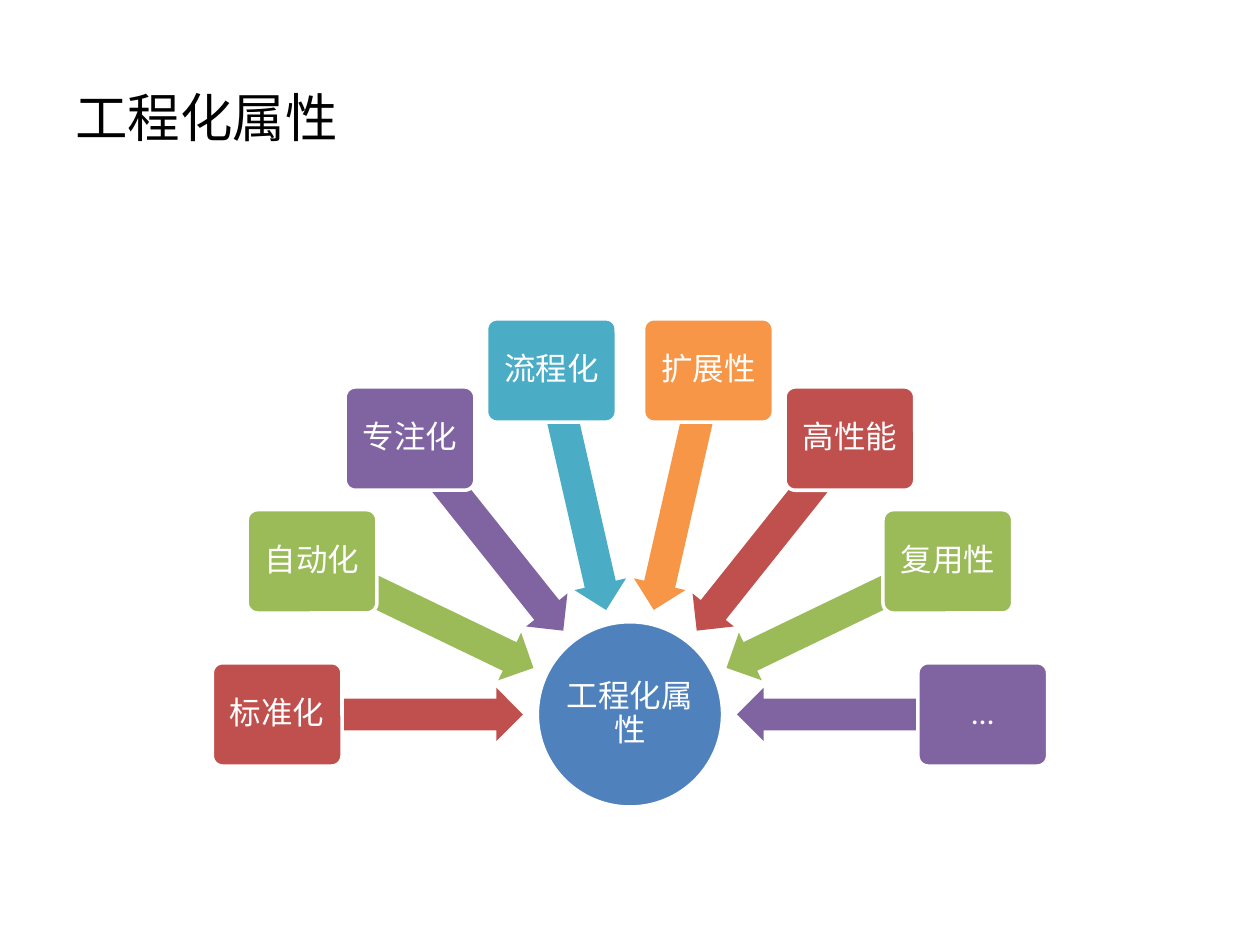
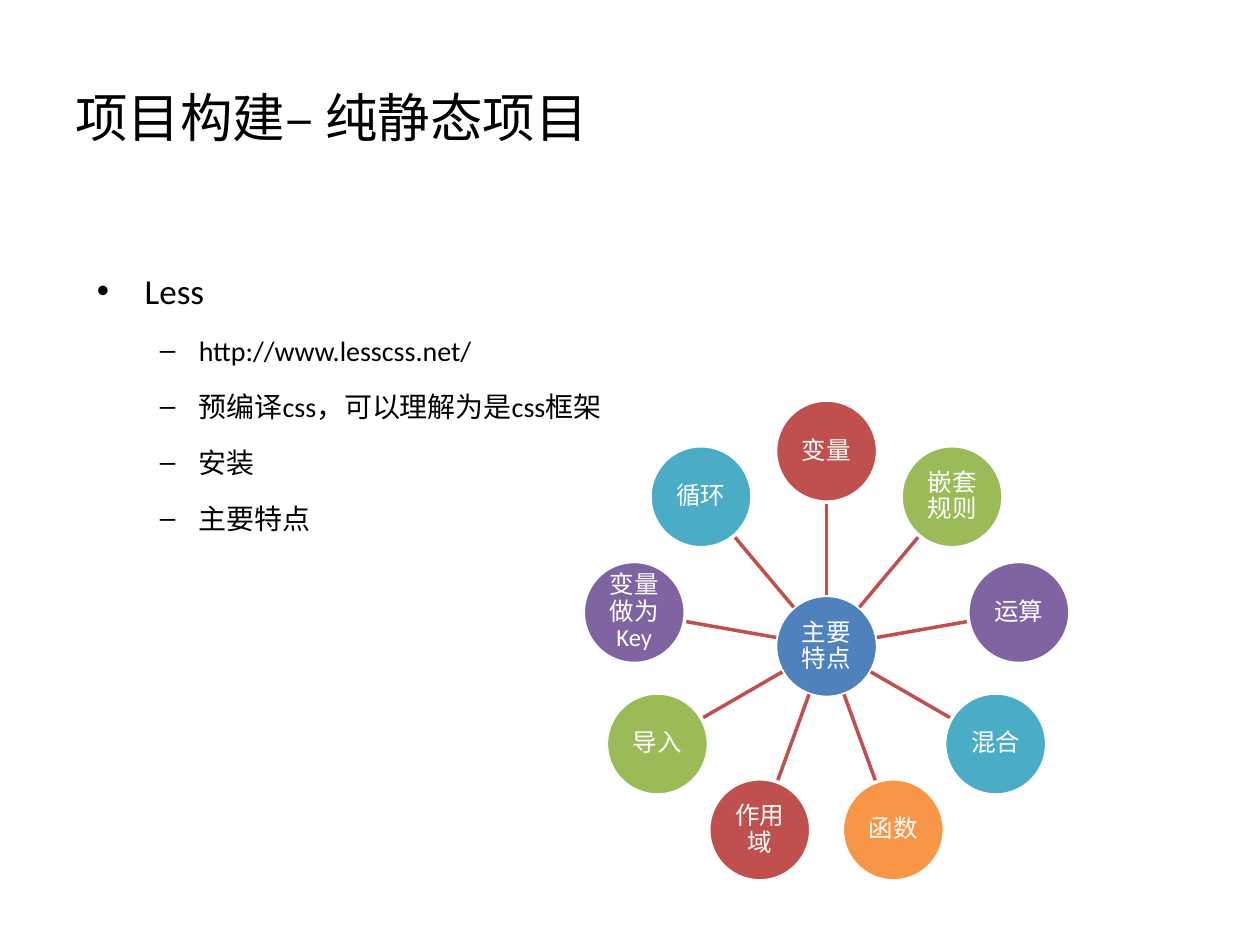
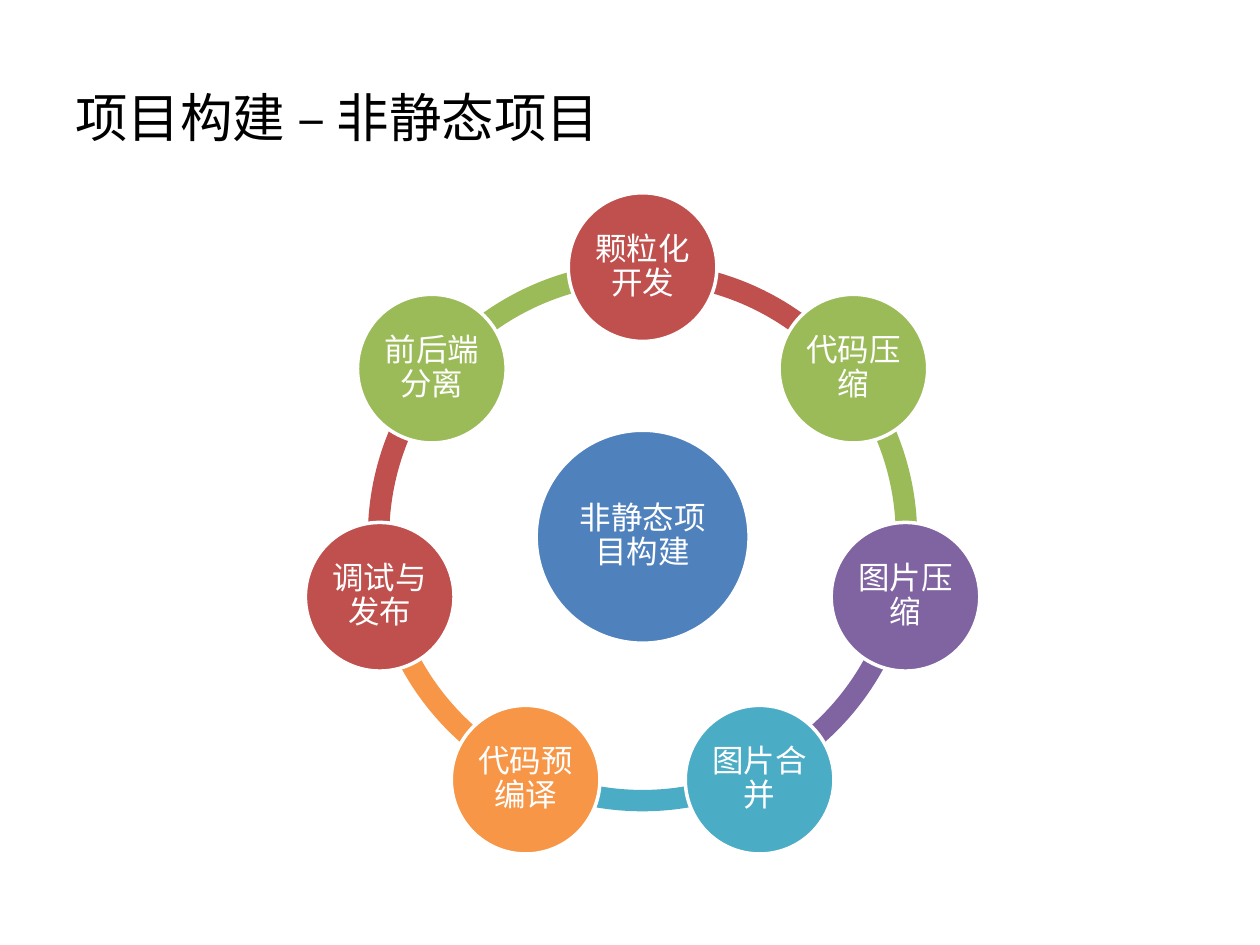
import math
from lxml import etree
from pptx import Presentation
from pptx.dml.color import RGBColor
from pptx.enum import shapes, text
from pptx.oxml.ns import qn
from pptx.util import Inches, Pt

FONT = "Calibri"
BLACK, WHITE, BLUE = "000000", "FFFFFF", "4F81BD"
ACCENTS = ["C0504D", "9BBB59", "8064A2", "4BACC6", "F79646"]
TITLE_BOX = (0.5, 0.3, 9, 1.25)


def color(value):
    return RGBColor.from_string(value)


def accent(index):
    return ACCENTS[index % len(ACCENTS)]


def polar(center, radius, degrees):
    angle = math.radians(degrees)
    return center[0] + radius * math.cos(angle), center[1] + radius * math.sin(angle)


def style_font(paragraph, size, value):
    font = paragraph.font
    font.name, font.size = FONT, Pt(size)
    font.color.rgb = color(value)


def add_preset(slide, kind, center, size, fill, adjustments=()):
    left, top = center[0] - size[0] / 2, center[1] - size[1] / 2
    shape = slide.shapes.add_shape(kind, *map(Inches, (left, top, *size)))
    shape.shadow.inherit = False
    shape.fill.solid()
    shape.fill.fore_color.rgb = color(fill)
    shape.line.fill.background()
    for index, value in enumerate(adjustments):
        shape.adjustments[index] = value
    return shape


def add_node(slide, kind, center, size, fill, label, font_size, inset, adjustments=()):
    shape = add_preset(slide, kind, center, size, fill, adjustments)
    shape.line.color.rgb = color(WHITE)
    shape.line.width = Pt(2)
    frame = shape.text_frame
    frame.word_wrap = True
    frame.vertical_anchor = text.MSO_ANCHOR.MIDDLE
    frame.margin_left = frame.margin_right = Inches(inset)
    frame.margin_top = frame.margin_bottom = Inches(inset)
    paragraph = frame.paragraphs[0]
    paragraph.text = label
    paragraph.alignment = text.PP_ALIGN.CENTER
    paragraph.line_spacing = 0.9
    style_font(paragraph, font_size, WHITE)


def add_circle(slide, center, diameter, fill, label, font_size, inset):
    add_node(slide, shapes.MSO_SHAPE.OVAL, center, (diameter, diameter),
             fill, label, font_size, inset)


def add_spoke(slide, start, end):
    line = slide.shapes.add_connector(
        shapes.MSO_CONNECTOR.STRAIGHT, *map(Inches, (*start, *end)))
    line.line.color.rgb = color(ACCENTS[0])
    line.line.width = Pt(2)
    etree.SubElement(line._element.spPr, qn("a:effectLst"))


def add_text_box(slide, box):
    frame = slide.shapes.add_textbox(*map(Inches, box)).text_frame
    frame.word_wrap = True
    return frame


def add_titled_slide(presentation, title):
    slide = presentation.slides.add_slide(presentation.slide_layouts[6])
    frame = add_text_box(slide, TITLE_BOX)
    frame.vertical_anchor = text.MSO_ANCHOR.MIDDLE
    frame.paragraphs[0].text = title
    style_font(frame.paragraphs[0], 30, BLACK)
    return slide


def set_bullet(paragraph, character, margin, indent):
    properties = paragraph._p.get_or_add_pPr()
    properties.set("marL", str(Inches(margin)))
    properties.set("indent", str(Inches(indent)))
    etree.SubElement(properties, qn("a:buFont")).set("typeface", "Arial")
    etree.SubElement(properties, qn("a:buChar")).set("char", character)


def add_outline(slide, box, heading, points):
    frame = add_text_box(slide, box)
    for index, label in enumerate([heading, *points]):
        paragraph = frame.add_paragraph() if index else frame.paragraphs[0]
        paragraph.text = label
        paragraph.level = 1 if index else 0
        size = 16 if index else 20
        paragraph.line_spacing = 1.5
        paragraph.space_before = Pt(size * 0.2)
        style_font(paragraph, size, BLACK)
        set_bullet(paragraph, *(("–", 0.81, -0.31) if index else ("•", 0.38, -0.38)))


def add_converging_arrows(slide, center, radius, hub, labels):
    add_circle(slide, center, 1.47, BLUE, hub, 18, 0.01)
    arrow_length = 1.95
    step = 180 / (len(labels) - 1)
    for index, label in enumerate(labels):
        angle = 180 + index * step
        arrow = add_preset(slide, shapes.MSO_SHAPE.LEFT_ARROW,
                           polar(center, radius - arrow_length / 2, angle),
                           (arrow_length, 0.42), accent(index), (0.6, 0.5))
        arrow.rotation = angle % 360
        add_node(slide, shapes.MSO_SHAPE.ROUNDED_RECTANGLE, polar(center, radius, angle),
                 (1.03, 0.82), accent(index), label, 18, 0.04, (0.1,))


def add_radial(slide, center, radius, hub, labels):
    diameter = 0.81
    add_circle(slide, center, diameter, BLUE, hub, 14, 0.01)
    for index, label in enumerate(labels):
        angle = -90 + index * 360 / len(labels)
        add_spoke(slide, polar(center, diameter / 2, angle),
                  polar(center, radius - diameter / 2, angle))
        add_circle(slide, polar(center, radius, angle), diameter,
                   accent(index), label, 14, 0.01)


def add_ring(slide, center, radius, hub, labels):
    step = 360 / len(labels)
    angles = [270 + index * step for index in range(len(labels))]
    for index, angle in reversed(list(enumerate(angles))):
        start, end = (value % 360 * 0.6 for value in (angle, angle + step))
        add_preset(slide, shapes.MSO_SHAPE.BLOCK_ARC, center, (4.36, 4.36),
                   accent(index), (start, end, 0.039))
    add_circle(slide, center, 1.69, BLUE, hub, 18, 0.03)
    for index, (angle, label) in enumerate(zip(angles, labels)):
        add_circle(slide, polar(center, radius, angle), 1.18,
                   accent(index), label, 18, 0.03)


presentation = Presentation()
presentation.slide_width, presentation.slide_height = Inches(10), Inches(7.5)

slide = add_titled_slide(presentation, "工程化属性")
add_converging_arrows(slide, (5, 5.67), 2.8, "工程化属性", [
    "标准化", "自动化", "专注化", "流程化", "扩展性", "高性能", "复用性", "…"])

slide = add_titled_slide(presentation, "项目构建– 纯静态项目")
add_outline(slide, (0.67, 1.92, 9, 5.02), "Less", [
    "http://www.lesscss.net/", "预编译css，可以理解为是css框架", "安装", "主要特点"])
add_radial(slide, (6.56, 5.13), 1.55, "主要特点", [
    "变量", "嵌套规则", "运算", "混合", "函数", "作用域", "导入", "变量做为Key", "循环"])

slide = add_titled_slide(presentation, "项目构建 – 非静态项目")
add_ring(slide, (5.1, 4.26), 2.14, "非静态项目构建", [
    "颗粒化开发", "代码压缩", "图片压缩", "图片合并", "代码预编译", "调试与发布", "前后端分离"])

presentation.save("out.pptx")
